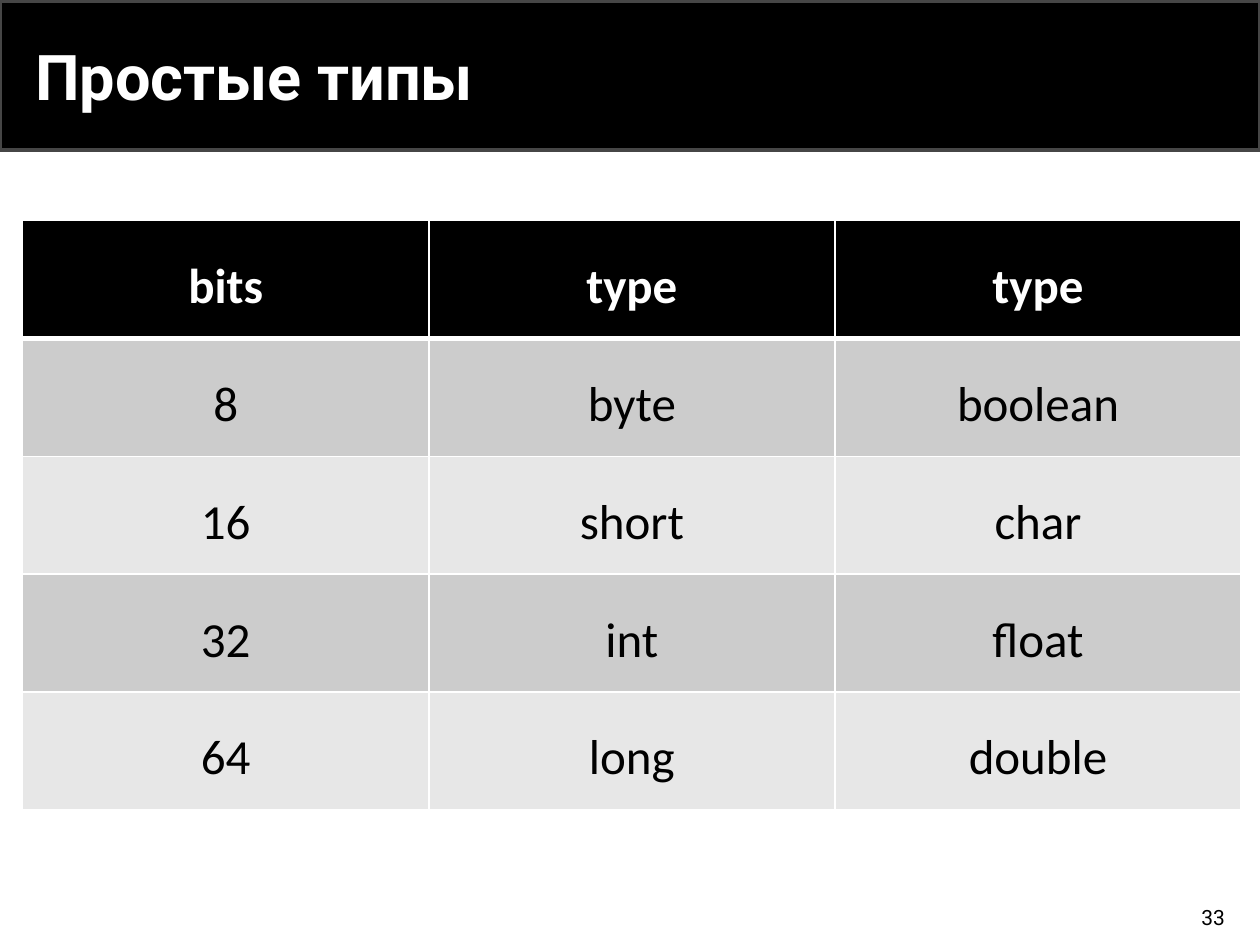
import pptx
import pptx.dml.color
import pptx.enum.shapes
import pptx.enum.text
import pptx.oxml
import pptx.oxml.ns
import pptx.util

COLORS = {
    "black": "000000",
    "white": "FFFFFF",
    "outline": "464646",
    "dark_band": "CCCCCC",
    "light_band": "E7E7E7",
}
ALIGN = pptx.enum.text.PP_ALIGN
MIDDLE = pptx.enum.text.MSO_ANCHOR.MIDDLE


def rgb(name):
    return pptx.dml.color.RGBColor.from_string(COLORS[name])


def write(text_frame, text, font_name, size, color, bold, align):
    text_frame.word_wrap = True
    paragraph = text_frame.paragraphs[0]
    paragraph.text = text
    paragraph.alignment = align
    paragraph.font.name = font_name
    paragraph.font.size = pptx.util.Pt(size)
    paragraph.font.bold = bold
    paragraph.font.color.rgb = rgb(color)
    return paragraph


presentation = pptx.Presentation()
presentation.slide_width = pptx.util.Inches(10)
presentation.slide_height = pptx.util.Inches(7.5)
slide = presentation.slides.add_slide(presentation.slide_layouts[6])
margin = pptx.util.Inches(0.18)

# Header bar
bar = slide.shapes.add_shape(
    pptx.enum.shapes.MSO_SHAPE.RECTANGLE,
    0, pptx.util.Inches(0.01), presentation.slide_width, pptx.util.Inches(1.18))
bar.shadow.inherit = False
bar.fill.solid()
bar.fill.fore_color.rgb = rgb("black")
bar.line.color.rgb = rgb("outline")
bar.line.width = pptx.util.Pt(2)

# Title
title = slide.shapes.add_textbox(
    margin, pptx.util.Inches(0.1), pptx.util.Inches(8.15), pptx.util.Inches(1))
title.text_frame.vertical_anchor = MIDDLE
write(title.text_frame, "Простые типы", "Roboto", 36, "white", True, ALIGN.LEFT)

# Slide number, flush with the right margin
number_width = pptx.util.Inches(2.28)
number = slide.shapes.add_textbox(
    presentation.slide_width - margin - number_width, pptx.util.Inches(7.13),
    number_width, pptx.util.Inches(0.3))
number.text_frame.vertical_anchor = MIDDLE
write(number.text_frame, "33", "Roboto", 12, "black", False, ALIGN.RIGHT)

# Table of types by size
rows = [
    ("bits", "type", "type"),
    ("8", "byte", "boolean"),
    ("16", "short", "char"),
    ("32", "int", "float"),
    ("64", "long", "double"),
]
table = slide.shapes.add_table(
    len(rows), len(rows[0]), margin, pptx.util.Inches(1.75),
    pptx.util.Inches(9.67), pptx.util.Inches(4.68)).table

for row_index, row in enumerate(rows):
    is_header = row_index == 0
    band = "dark_band" if row_index % 2 else "light_band"
    # The rule under the header is thicker than the others
    border_widths = {
        "lnL": 1,
        "lnR": 1,
        "lnT": 3 if row_index == 1 else 1,
        "lnB": 3 if is_header else 1,
    }
    for column_index, text in enumerate(row):
        cell = table.cell(row_index, column_index)
        paragraph = write(
            cell.text_frame, text, "Calibri", 28,
            "white" if is_header else "black", is_header, ALIGN.CENTER)
        paragraph.line_spacing = 1.5

        properties = cell._tc.get_or_add_tcPr()
        for tag, width in border_widths.items():
            properties.append(pptx.oxml.parse_xml(
                f'<a:{tag} {pptx.oxml.ns.nsdecls("a")} w="{pptx.util.Pt(width)}">'
                f'<a:solidFill><a:srgbClr val="{COLORS["white"]}"/></a:solidFill>'
                f'</a:{tag}>'))
        cell.fill.solid()
        cell.fill.fore_color.rgb = rgb("black" if is_header else band)

presentation.save("out.pptx")
